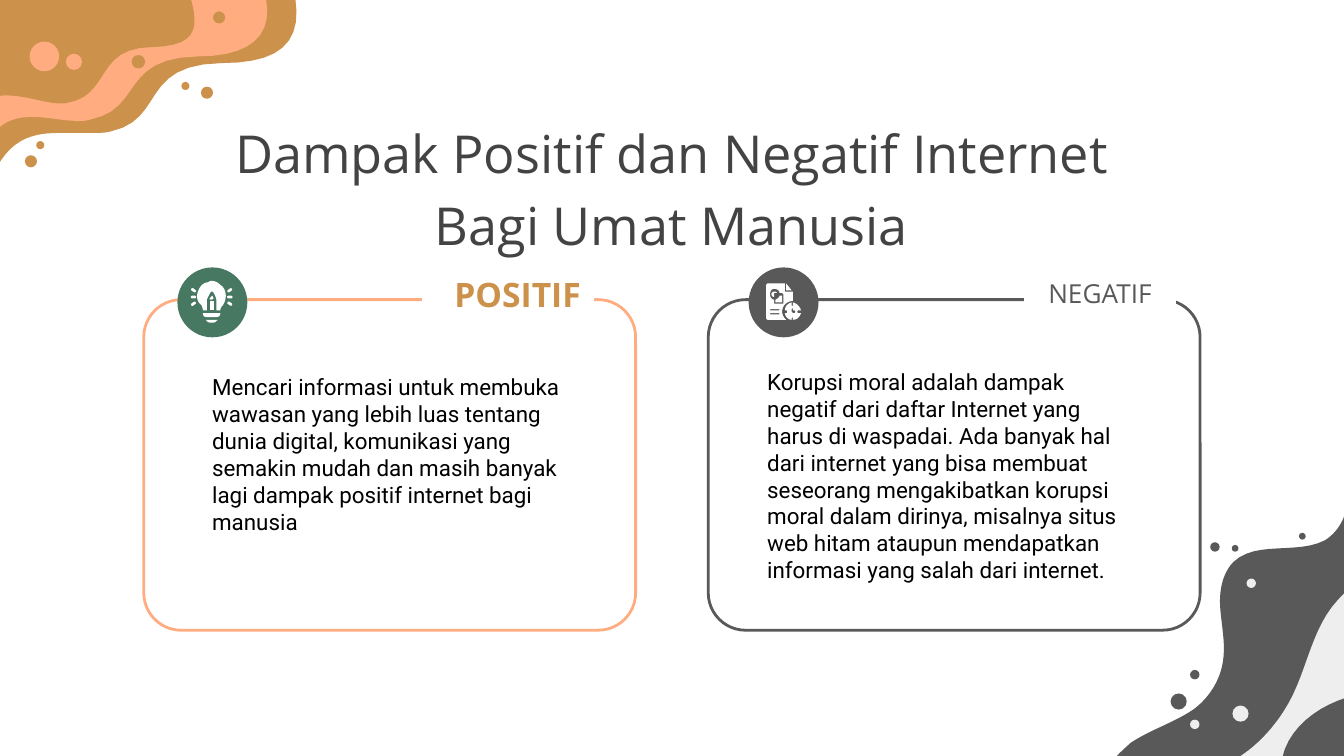
from pptx import Presentation
from pptx.dml.color import RGBColor
from pptx.enum import shapes, text
from pptx.util import Inches, Pt

COLORS = {
    "ochre": "CC914A", "peach": "FFAD80", "grey": "595959", "pale": "EEEEEE",
    "green": "477861", "white": "FFFFFF", "title": "434343", "black": "000000",
}
CURVE_STEPS = 12


def rgb(name):
    return RGBColor.from_string(COLORS[name])


def trace(path):
    """Turn an M/L/C path in inches into contours of points."""
    contours = []
    for command in path.replace("M", "|M").replace("L", "|L").replace("C", "|C").split("|")[1:]:
        numbers = [float(n) for n in command[1:].split()]
        points = list(zip(numbers[::2], numbers[1::2]))
        if command[0] == "M":
            contours.append(points)
        elif command[0] == "L":
            contours[-1] += points
        else:
            for i in range(0, len(points), 3):
                corners = [contours[-1][-1], *points[i:i + 3]]
                for step in range(1, CURVE_STEPS + 1):
                    t = step / CURVE_STEPS
                    weights = ((1 - t) ** 3, 3 * t * (1 - t) ** 2, 3 * t * t * (1 - t), t ** 3)
                    contours[-1].append(tuple(
                        sum(w * c[axis] for w, c in zip(weights, corners)) for axis in (0, 1)))
    return contours


class SlideBuilder:
    def __init__(self, slide):
        self.shapes = slide.shapes

    def paint(self, shape, color):
        shape.shadow.inherit = False
        shape.fill.solid()
        shape.fill.fore_color.rgb = rgb(color)
        shape.line.fill.background()

    def card(self, left, color):
        frame = self.shapes.add_shape(shapes.MSO_SHAPE.ROUNDED_RECTANGLE, Inches(left),
                                      Inches(2.23), Inches(3.66), Inches(2.46))
        frame.adjustments[0] = 0.113
        frame.shadow.inherit = False
        frame.fill.background()
        frame.line.color.rgb = rgb(color)
        frame.line.width = Pt(1.5)

    def outline(self, path, color):
        builder = None
        for contour in trace(path):
            start, *rest = [(Inches(x), Inches(y)) for x, y in contour]
            if builder is None:
                builder = self.shapes.build_freeform(*start)
            else:
                builder.move_to(*start)
            builder.add_line_segments(rest, close=True)
        self.paint(builder.convert_to_shape(), color)

    def dot(self, x, y, size, color):
        circle = self.shapes.add_shape(shapes.MSO_SHAPE.OVAL, Inches(x - size / 2),
                                       Inches(y - size / 2), Inches(size), Inches(size))
        self.paint(circle, color)

    def ray(self, x, y, angle):
        bar = self.shapes.add_shape(shapes.MSO_SHAPE.ROUNDED_RECTANGLE, Inches(x - 0.02),
                                    Inches(y - 0.01), Inches(0.04), Inches(0.02))
        bar.adjustments[0] = 0.5
        bar.rotation = angle
        self.paint(bar, "white")

    def words(self, content, box, size, color, font, align=text.PP_ALIGN.LEFT,
              anchor=text.MSO_ANCHOR.TOP, bold=False, spacing=None, fill=None):
        label = self.shapes.add_textbox(*(Inches(v) for v in box))
        if fill:
            label.fill.solid()
            label.fill.fore_color.rgb = rgb(fill)
        frame = label.text_frame
        frame.word_wrap = True
        frame.vertical_anchor = anchor
        frame.margin_left = frame.margin_right = Inches(0.1)
        frame.margin_top = frame.margin_bottom = Inches(0.1)
        paragraph = frame.paragraphs[0]
        paragraph.text = content
        paragraph.alignment = align
        paragraph.line_spacing = spacing
        paragraph.font.size = Pt(size)
        paragraph.font.bold = bold
        paragraph.font.name = font
        paragraph.font.color.rgb = rgb(color)


WAVES = [
    # Bottom right corner
    ("grey", "M10.02 3.68 C10.02 3.71 10.02 3.75 10.02 3.78 10 3.88 9.94 3.97 9.86 4.02 "
             "9.65 4.13 9.35 4.02 9.18 4.18 9.09 4.27 9.07 4.41 9.08 4.53 "
             "9.09 4.66 9.12 4.79 9.1 4.92 9.08 5.06 9 5.19 8.88 5.28 "
             "8.73 5.38 8.56 5.43 8.41 5.53 8.37 5.57 8.33 5.6 8.3 5.64 L10.54 5.64 10.54 3.68"),
    ("pale", "M10.54 4.11 C10.34 4.21 10.11 4.29 9.96 4.46 9.76 4.67 9.73 4.98 9.59 5.23 "
             "9.5 5.39 9.37 5.54 9.21 5.64 L10.54 5.64"),
    ("grey", "M10.24 5.15 C10.21 5.15 10.18 5.15 10.15 5.16 9.89 5.2 9.6 5.37 9.54 5.64 "
             "L10.29 5.64 10.29 5.16 C10.27 5.15 10.26 5.15 10.24 5.15"),
    # Top left corner
    ("ochre", "M-0.02 -0.62 L-0.02 1.24 C0.1 1.02 0.27 0.99 0.44 0.99 "
              "0.53 0.99 0.61 0.99 0.69 0.99 0.73 0.99 0.78 0.99 0.82 0.98 "
              "1.24 0.89 1.03 0.48 1.65 0.47 2.16 0.47 2.31 0.26 2.14 -0.24 "
              "2.01 -0.62 2.42 -0.62 2.44 -0.62"),
    ("peach", "M-0.09 -0.57 L-0.09 1.05 C0 0.9 0.12 0.87 0.24 0.87 0.35 0.87 0.47 0.9 0.59 0.9 "
              "0.61 0.9 0.64 0.9 0.67 0.89 1.07 0.81 0.89 0.43 1.47 0.42 "
              "1.95 0.42 2.08 0.19 1.93 -0.17 1.79 -0.53 2.22 -0.57 2.22 -0.57"),
    ("ochre", "M-0.19 -0.42 L-0.19 0.83 C-0.12 0.73 -0.04 0.71 0.05 0.71 "
              "0.19 0.71 0.34 0.77 0.45 0.77 0.46 0.77 0.47 0.77 0.48 0.77 "
              "0.84 0.72 0.69 0.35 1.14 0.35 1.51 0.34 1.48 0.17 1.39 -0.11 "
              "1.3 -0.39 1.59 -0.42 1.59 -0.42"),
]

# Centre x, centre y and diameter
DOTS = {
    "grey": [(8.89, 5.02, 0.07), (9.04, 4.07, 0.07), (9.19, 4.08, 0.05),
             (9.69, 3.99, 0.05), (8.77, 5.22, 0.12)],
    "pale": [(8.89, 5.39, 0.07), (9.31, 4.34, 0.07), (9.23, 5.31, 0.12)],
    "ochre": [(1.54, 0.69, 0.09), (0.23, 1.2, 0.09), (1.63, 0.13, 0.09),
              (0.3, 1.08, 0.06), (1.38, 0.64, 0.06), (1.03, 0.46, 0.1)],
    "peach": [(0.55, 0.46, 0.12), (0.33, 0.42, 0.22)],
}

RAYS = [(1.44, 2.21, 0), (1.44, 2.16, 35), (1.44, 2.26, -35),
        (1.71, 2.21, 0), (1.71, 2.16, -35), (1.71, 2.26, 35)]

BULB = [
    # Glass, pencil body, socket, pencil tip, base
    "M1.57 2.09 C1.57 2.09 1.56 2.09 1.55 2.1 1.51 2.1 1.48 2.14 1.47 2.18 "
    "1.46 2.21 1.47 2.25 1.5 2.27 1.5 2.28 1.51 2.29 1.51 2.31 L1.54 2.31 1.54 2.23 "
    "C1.54 2.22 1.57 2.17 1.57 2.17 1.57 2.17 1.57 2.17 1.58 2.17 1.59 2.17 1.61 2.22 1.61 2.23 "
    "L1.61 2.31 1.64 2.31 C1.64 2.29 1.65 2.28 1.66 2.27 1.67 2.25 1.68 2.23 1.68 2.2 "
    "1.68 2.17 1.67 2.14 1.64 2.12 1.62 2.1 1.6 2.09 1.57 2.09",
    "M1.56 2.24 L1.56 2.31 1.59 2.31 1.59 2.24",
    "M1.51 2.33 C1.51 2.35 1.52 2.36 1.54 2.36 L1.61 2.36 C1.63 2.36 1.64 2.35 1.64 2.33",
    "M1.58 2.2 L1.56 2.22 C1.56 2.23 1.57 2.23 1.57 2.23 1.58 2.23 1.58 2.23 1.59 2.22",
    "M1.53 2.38 C1.54 2.39 1.55 2.4 1.56 2.4 L1.59 2.4 C1.6 2.4 1.61 2.39 1.62 2.38",
]

REPORT = [
    # Clock, folded corner, circle and square, sheet with its cut-outs
    "M5.89 2.25 C5.86 2.26 5.84 2.28 5.84 2.31 L5.85 2.31 C5.86 2.31 5.86 2.33 5.85 2.33 "
    "L5.84 2.33 C5.84 2.35 5.86 2.38 5.89 2.38 L5.89 2.37 C5.89 2.36 5.9 2.36 5.9 2.37 "
    "L5.9 2.38 C5.93 2.38 5.95 2.36 5.96 2.33 L5.94 2.33 C5.93 2.33 5.93 2.31 5.94 2.31 "
    "L5.96 2.31 C5.95 2.28 5.93 2.26 5.9 2.25 L5.9 2.27 C5.9 2.28 5.89 2.28 5.89 2.27 "
    "M5.9 2.29 L5.9 2.31 5.91 2.31 C5.92 2.31 5.92 2.33 5.91 2.33 L5.9 2.33 5.89 2.32 5.89 2.3",
    "M5.85 2.11 L5.85 2.16 5.89 2.16",
    "M5.76 2.17 C5.75 2.17 5.74 2.18 5.74 2.19 5.74 2.2 5.75 2.21 5.76 2.21 "
    "L5.76 2.18 5.78 2.18 C5.78 2.17 5.77 2.17 5.76 2.17",
    "M5.8 2.2 C5.8 2.21 5.79 2.22 5.77 2.23 L5.77 2.25 5.82 2.25 5.82 2.2",
    "M5.71 2.11 L5.7 2.12 5.7 2.37 5.71 2.38 5.85 2.38 C5.84 2.37 5.82 2.35 5.82 2.32 "
    "5.82 2.27 5.86 2.24 5.9 2.24 L5.9 2.17 5.84 2.17 5.84 2.11 "
    "M5.76 2.15 C5.78 2.15 5.8 2.16 5.8 2.18 L5.82 2.18 5.83 2.19 5.83 2.26 5.76 2.26 5.76 2.23 "
    "C5.74 2.23 5.73 2.21 5.73 2.19 5.73 2.17 5.74 2.15 5.76 2.15 "
    "M5.73 2.3 L5.8 2.3 5.8 2.31 5.73 2.31 M5.73 2.33 L5.8 2.33 5.8 2.34 5.73 2.34",
]


def main():
    deck = Presentation()
    deck.slide_width = Inches(10)
    deck.slide_height = Inches(10) * 9 // 16
    page = SlideBuilder(deck.slides.add_slide(deck.slide_layouts[6]))

    # Card frames and corner decoration
    page.card(1.07, "peach")
    page.card(5.27, "grey")
    for color, wave in WAVES:
        page.outline(wave, color)
    for color, dots in DOTS.items():
        for x, y, size in dots:
            page.dot(x, y, size, color)

    # Title and card labels
    page.words("Dampak Positif dan Negatif Internet Bagi Umat Manusia", (1.34, 0.73, 7.31, 0.53),
               28, "title", "Open Sans", text.PP_ALIGN.CENTER, spacing=1.15)
    page.words("POSITIF", (3.14, 1.95, 1.28, 0.49), 18, "ochre", "Open Sans",
               text.PP_ALIGN.RIGHT, text.MSO_ANCHOR.BOTTOM, bold=True, fill="white")
    page.words("NEGATIF", (7.62, 2.02, 1.13, 0.32), 14, "grey", "Open Sans",
               text.PP_ALIGN.CENTER, text.MSO_ANCHOR.MIDDLE, fill="white")

    # Round icons
    for x, color, icon in ((1.58, "green", BULB), (5.83, "grey", REPORT)):
        page.dot(x, 2.25, 0.52, color)
        for part in icon:
            page.outline(part, "white")
    for x, y, angle in RAYS:
        page.ray(x, y, angle)

    # Card texts
    page.words("Mencari informasi untuk membuka wawasan yang lebih luas tentang dunia digital, "
               "komunikasi yang semakin mudah dan masih banyak lagi dampak positif internet bagi "
               "manusia", (1.48, 2.68, 2.91, 0.63), 12, "black", "Roboto")
    page.words("Korupsi moral adalah dampak negatif dari daftar Internet yang harus di waspadai. "
               "Ada banyak hal dari internet yang bisa membuat seseorang mengakibatkan korupsi "
               "moral dalam dirinya, misalnya situs web hitam ataupun mendapatkan informasi yang "
               "salah dari internet.", (5.61, 2.64, 2.91, 0.63), 12, "black", "Roboto")

    deck.save("out.pptx")


if __name__ == "__main__":
    main()
